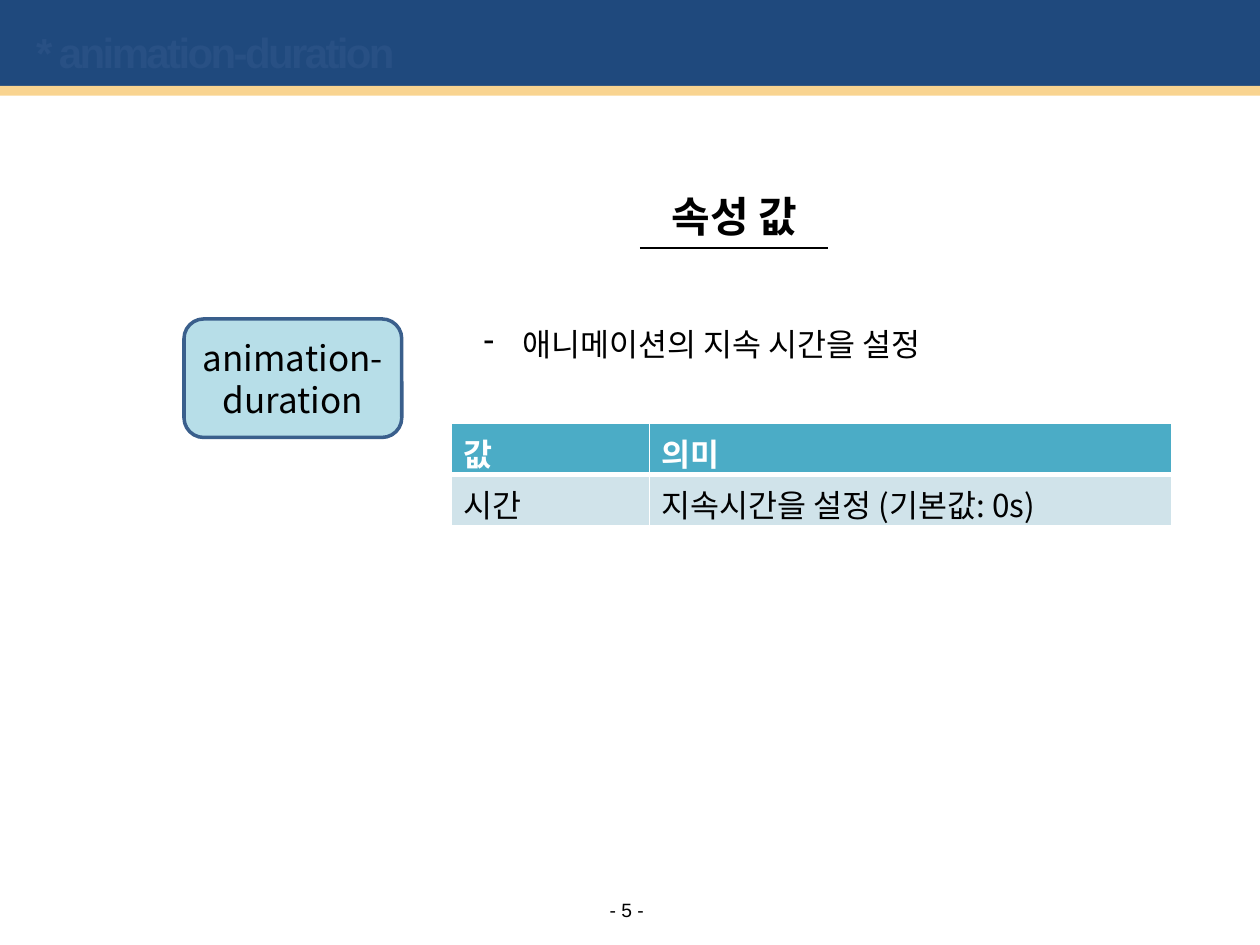
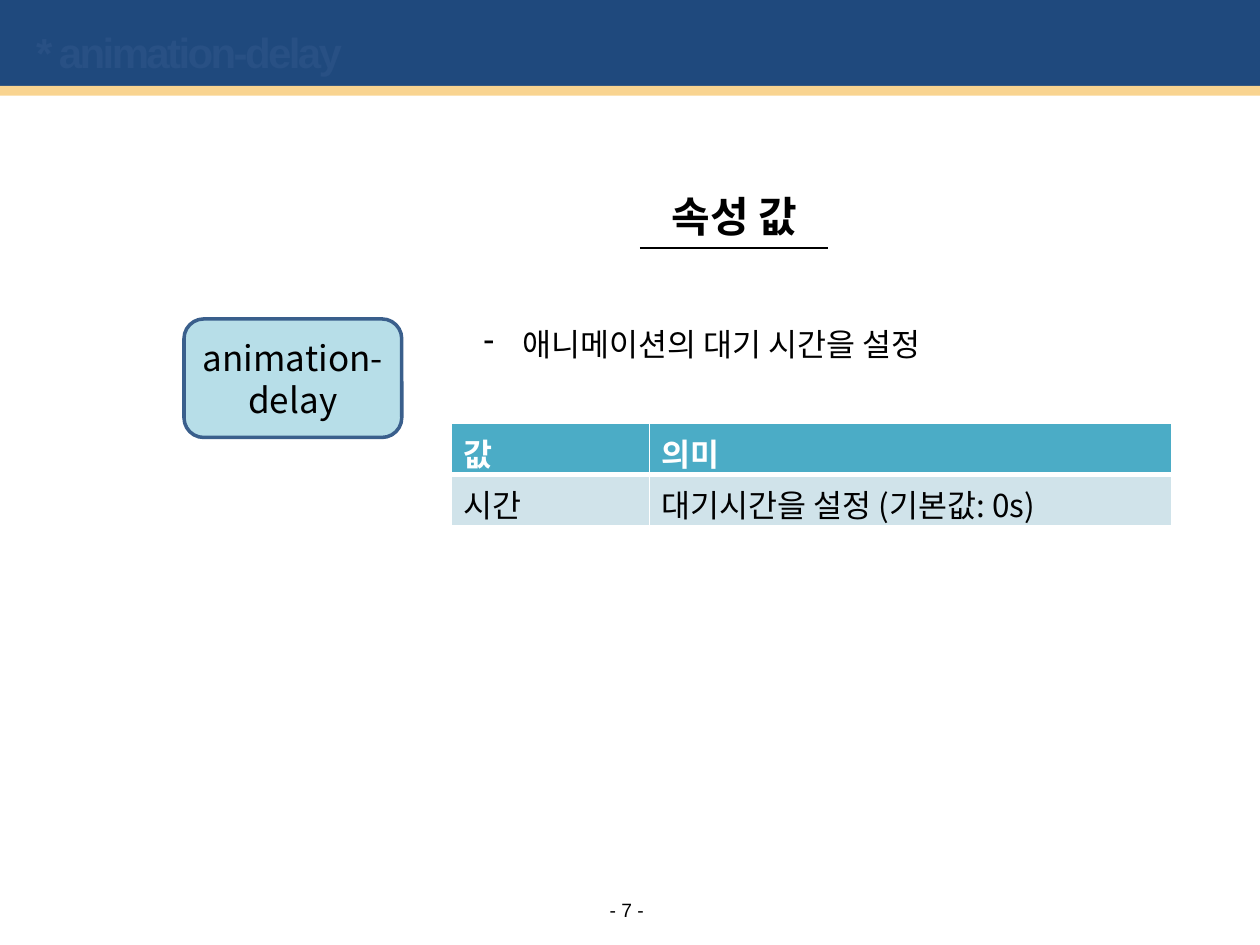
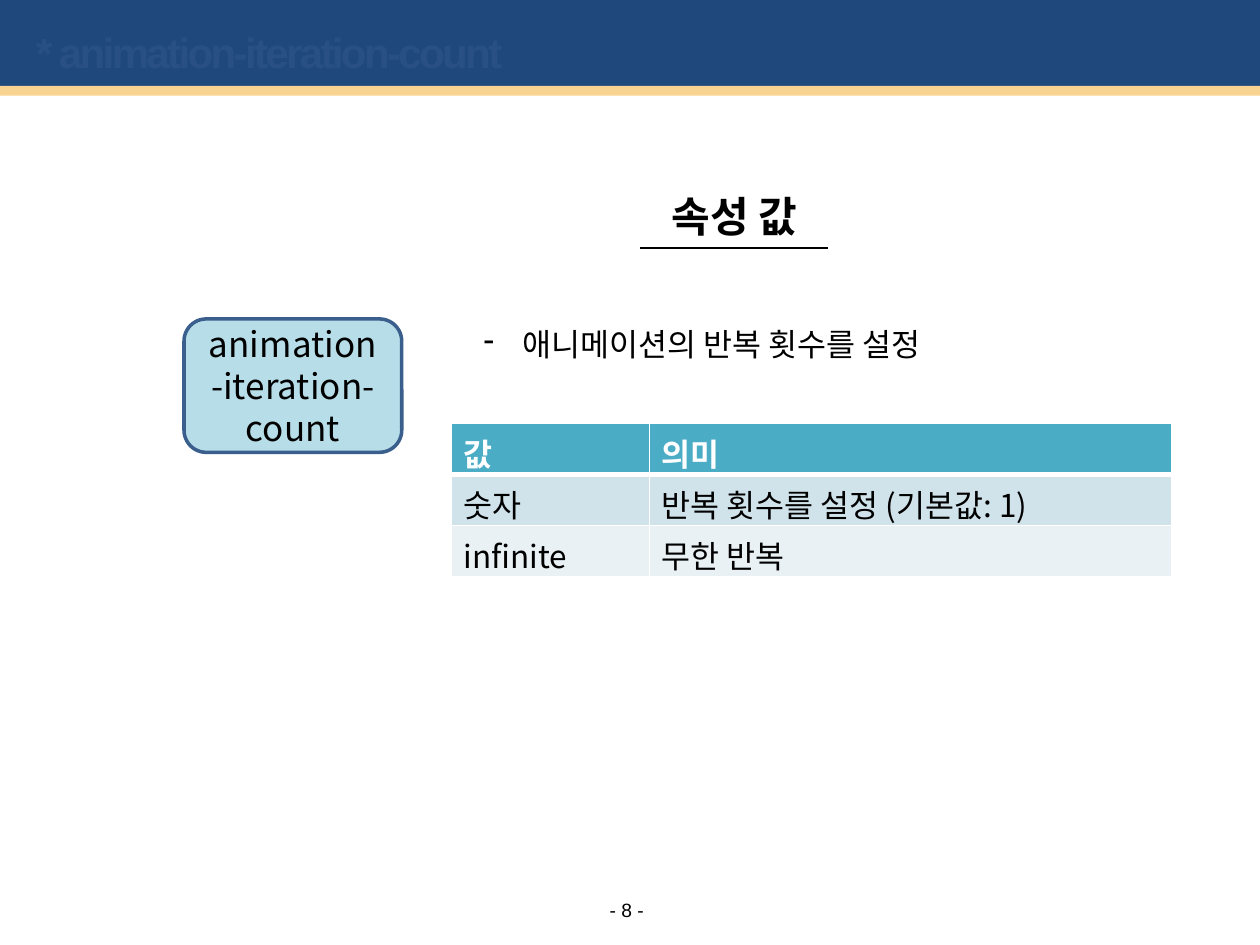
"""Build three slides on CSS animation properties and their values."""

from dataclasses import dataclass

from lxml import etree
from pptx import Presentation
from pptx.dml.color import RGBColor
from pptx.enum.shapes import MSO_CONNECTOR, MSO_SHAPE
from pptx.enum.text import MSO_ANCHOR, PP_ALIGN
from pptx.oxml.ns import qn
from pptx.util import Cm, Pt

RECTANGLE = MSO_SHAPE.RECTANGLE
ROUNDED_RECTANGLE = MSO_SHAPE.ROUNDED_RECTANGLE
STRAIGHT = MSO_CONNECTOR.STRAIGHT
MIDDLE = MSO_ANCHOR.MIDDLE
LEFT, CENTER = PP_ALIGN.LEFT, PP_ALIGN.CENTER


@dataclass(frozen=True)
class Theme:
    latin_font: str = "Arial"
    korean_font: str = "Noto Sans CJK KR"
    black: str = "000000"
    white: str = "FFFFFF"
    band: str = "1F497D"
    band_title: str = "285084"
    stripe: str = "F9D490"
    property_fill: str = "B7DEE8"
    property_line: str = "3A5F8C"
    table_header: str = "4BACC6"
    table_rows: tuple = ("D0E3EA", "E9F1F5")
    title_size: int = 24
    property_size: int = 20
    body_size: int = 18
    page_size: int = 11


theme = Theme()

SLIDES = [
    ("animation-duration", 5, 2.39, "애니메이션의 지속 시간을 설정",
     [("시간", "지속시간을 설정 (기본값: 0s)")]),
    ("animation-delay", 7, 2.39, "애니메이션의 대기 시간을 설정",
     [("시간", "대기시간을 설정 (기본값: 0s)")]),
    ("animation-iteration-count", 8, 2.69, "애니메이션의 반복 횟수를 설정",
     [("숫자", "반복 횟수를 설정 (기본값: 1)"), ("infinite", "무한 반복")]),
]


def write(frame, text, size, color=theme.black, font=theme.korean_font, bold=False, align=LEFT):
    """Fill the first paragraph of a text frame and return its font properties."""
    paragraph = frame.paragraphs[0]
    paragraph.text = text
    paragraph.alignment = align
    paragraph.font.name = font
    paragraph.font.size = Pt(size)
    paragraph.font.bold = bold
    paragraph.font.color.rgb = RGBColor.from_string(color)
    properties = paragraph._p.pPr.find(qn("a:defRPr"))
    etree.SubElement(properties, qn("a:ea"), typeface=font)
    return properties


def add_box(slide, kind, left, top, width, height, fill):
    """Add a filled preset shape without outline or shadow."""
    shape = slide.shapes.add_shape(kind, Cm(left), Cm(top), Cm(width), Cm(height))
    shape.shadow.inherit = False
    shape.fill.solid()
    shape.fill.fore_color.rgb = RGBColor.from_string(fill)
    shape.line.fill.background()
    return shape


presentation = Presentation()
presentation.slide_width = Cm(25.4)
presentation.slide_height = Cm(19.05)

for name, page, property_height, description, values in SLIDES:
    slide = presentation.slides.add_slide(presentation.slide_layouts[6])

    add_box(slide, RECTANGLE, 0, -0.08, 25.4, 1.93, theme.band)
    add_box(slide, RECTANGLE, 0, 1.73, 25.4, 0.2, theme.stripe)

    title = slide.shapes.add_textbox(Cm(0.48), Cm(0.4), Cm(23), Cm(1.23)).text_frame
    title.word_wrap = True
    properties = write(title, f"* {name}", theme.title_size, theme.band_title,
                       theme.latin_font, bold=True)
    properties.set("spc", "-150")

    footer = slide.shapes.add_textbox(Cm(12.09), Cm(18.11), Cm(1.09), Cm(0.48)).text_frame
    footer.margin_left = footer.margin_right = footer.margin_top = footer.margin_bottom = 0
    footer.vertical_anchor = MIDDLE
    footer.word_wrap = False
    write(footer, f"- {page} -", theme.page_size, font=theme.latin_font, align=CENTER)

    property_box = add_box(slide, ROUNDED_RECTANGLE, 3.71, 6.43, 4.39, property_height,
                           theme.property_fill)
    property_box.line.color.rgb = RGBColor.from_string(theme.property_line)
    property_box.line.width = Pt(2)
    property_box.text_frame.word_wrap = True
    property_box.text_frame.vertical_anchor = MIDDLE
    write(property_box.text_frame, name, theme.property_size, align=CENTER)

    heading = slide.shapes.add_textbox(Cm(9.91), Cm(3.71), Cm(9.8), Cm(1.27)).text_frame
    heading.word_wrap = True
    write(heading, "속성 값", theme.title_size, bold=True, align=CENTER)

    underline = slide.shapes.add_connector(STRAIGHT, Cm(12.9), Cm(5), Cm(16.69), Cm(5))
    underline.line.color.rgb = RGBColor.from_string(theme.black)
    underline.line.width = Pt(1.5)
    etree.SubElement(underline._element.spPr, qn("a:effectLst"))

    summary = slide.shapes.add_textbox(Cm(9.5), Cm(6.43), Cm(12.4), Cm(1.02)).text_frame
    summary.word_wrap = True
    bullet_properties = summary.paragraphs[0]._p.get_or_add_pPr()
    bullet_properties.set("marL", str(Cm(0.79)))
    bullet_properties.set("indent", str(-Cm(0.79)))
    etree.SubElement(bullet_properties, qn("a:buChar"), char="-")
    write(summary, description, theme.body_size)

    rows = [("값", "의미"), *values]
    table = slide.shapes.add_table(len(rows), 2, Cm(9.09), Cm(8.53), Cm(14.54),
                                   Cm(1.03 * len(rows))).table
    table.columns[0].width = Cm(4)
    table.columns[1].width = Cm(10.54)
    for row_index, row in enumerate(rows):
        is_header = row_index == 0
        fill = theme.table_header if is_header else theme.table_rows[(row_index - 1) % 2]
        for column_index, text in enumerate(row):
            cell = table.cell(row_index, column_index)
            cell_properties = cell._tc.get_or_add_tcPr()
            for side in ("lnL", "lnR", "lnT", "lnB"):
                thick = (is_header and side == "lnB") or (row_index == 1 and side == "lnT")
                border = etree.SubElement(cell_properties, qn(f"a:{side}"),
                                          w=str(Pt(3 if thick else 1)))
                solid = etree.SubElement(border, qn("a:solidFill"))
                etree.SubElement(solid, qn("a:srgbClr"), val=theme.white)
            cell.fill.solid()
            cell.fill.fore_color.rgb = RGBColor.from_string(fill)
            write(cell.text_frame, text, theme.body_size,
                  theme.white if is_header else theme.black, bold=is_header)

presentation.save("out.pptx")
